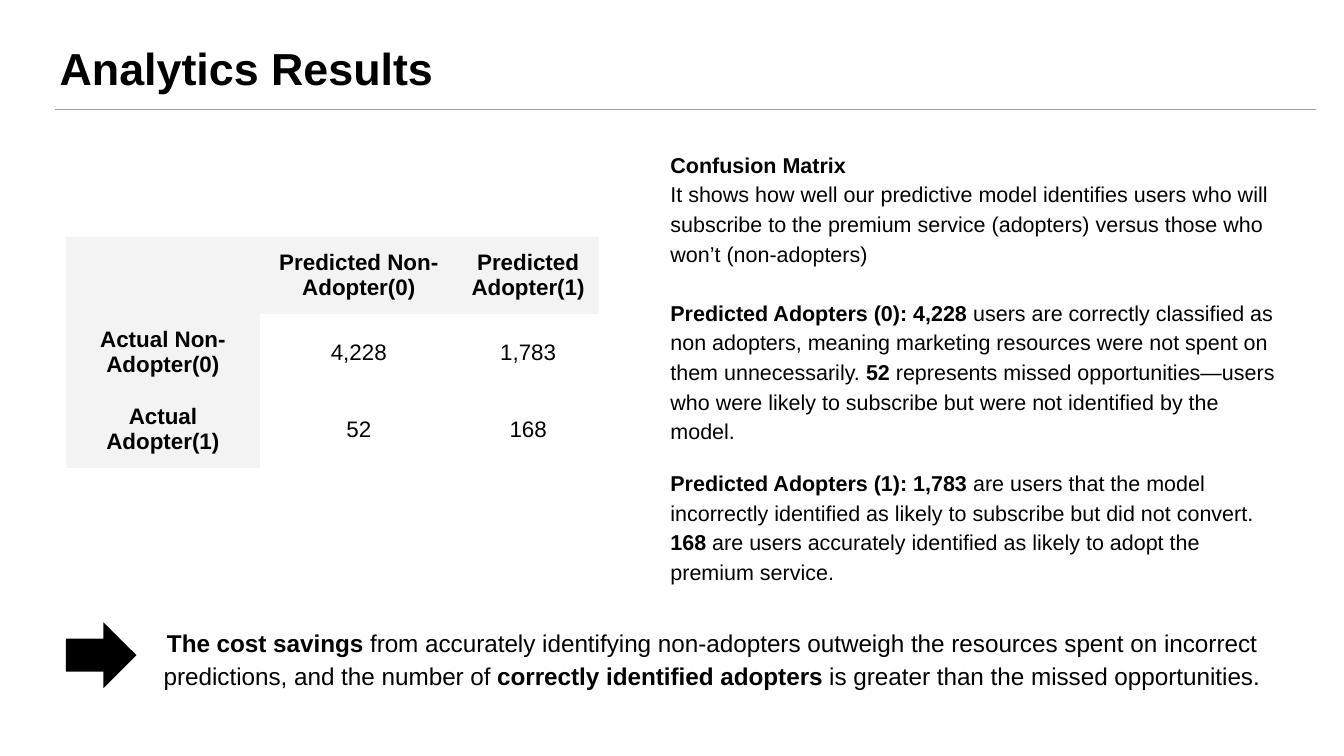
from lxml.etree import SubElement
from pptx import Presentation
from pptx.dml.color import RGBColor as RGB
from pptx.enum.shapes import MSO_CONNECTOR as Connector, MSO_SHAPE as Shape
from pptx.enum.text import MSO_ANCHOR as Anchor, PP_ALIGN as Align
from pptx.oxml.ns import qn
from pptx.util import Inches, Pt


class Theme:
    font = "Arial"
    ink = RGB(0x00, 0x00, 0x00)
    rule = RGB(0x9E, 0x9E, 0x9E)
    header = RGB(0xF3, 0xF3, 0xF3)
    title, takeaway, table, body = Pt(24), Pt(13), Pt(12), Pt(11.5)
    inset = Inches(0.1)
    no_table_style = "{2D5ABB26-0587-4C30-8999-92F81FD0307C}"


deck = Presentation()
deck.slide_width = Inches(10)
deck.slide_height = deck.slide_width * 9 // 16
page = deck.slides.add_slide(deck.slide_layouts[6])
COLUMN, ROW = deck.slide_width / 100, deck.slide_height / 56.25


def grid(left, top, width, height):
    """Turn grid columns and rows into slide lengths."""
    return int(left * COLUMN), int(top * ROW), int(width * COLUMN), int(height * ROW)


def write(para, text, size, align=Align.LEFT, spacing=None, before=None, after=None):
    """Fill a paragraph; parts between ** marks are bold."""
    para.alignment, para.line_spacing = align, spacing
    para.space_before, para.space_after = before, after
    for index, part in enumerate(text.split("**")):
        if part:
            span = para.add_run()
            span.text = part
            span.font.name, span.font.size = Theme.font, size
            span.font.bold = index % 2 == 1
            span.font.color.rgb = Theme.ink


# Confusion matrix
matrix = [
    ["", "**Predicted Non-Adopter(0)**", "**Predicted Adopter(1)**"],
    ["**Actual Non-Adopter(0)**", "4,228", "1,783"],
    ["**Actual Adopter(1)**", "52", "168"],
]
column_spans, row_spans = [14.45, 14.7, 10.5], [5.5, 5.2, 5.2]
table = page.shapes.add_table(
    3, 3, *grid(4.9, 17.6, sum(column_spans), sum(row_spans))).table
table.first_row = table.horz_banding = False
table._tbl.tblPr.find(qn("a:tableStyleId")).text = Theme.no_table_style
for column, span_width in zip(table.columns, column_spans):
    column.width = int(span_width * COLUMN)
for r, labels in enumerate(matrix):
    table.rows[r].height = int(row_spans[r] * ROW)
    for c, label in enumerate(labels):
        cell = table.cell(r, c)
        cell.vertical_anchor = Anchor.MIDDLE
        cell.margin_left = cell.margin_right = Theme.inset
        cell.margin_top = cell.margin_bottom = Theme.inset
        if r == 0 or c == 0:
            cell.fill.solid()
            cell.fill.fore_color.rgb = Theme.header
        else:
            cell.fill.background()
        write(cell.text_frame.paragraphs[0], label, Theme.table, Align.CENTER)

# Text boxes: place, then (text, format) for each paragraph
body = dict(size=Theme.body, spacing=1.15)
boxes = [
    (grid(3.45, 2, 93.2, 6.3), [("**Analytics Results**", dict(size=Theme.title))]),
    (grid(48.9, 10, 48, 34.6), [
        ("**Confusion Matrix**", body),
        ("It shows how well our predictive model identifies users who will subscribe "
         "to the premium service (adopters) versus those who won’t (non-adopters)", body),
        ("**Predicted Adopters (0): 4,228 **users are correctly classified as non "
         "adopters, meaning marketing resources were not spent on them unnecessarily. "
         "**52** represents missed opportunities—users who were likely to subscribe "
         "but were not identified by the model.", dict(body, before=Pt(15.8))),
        ("**Predicted Adopters (1): 1,783 **are users that the model incorrectly "
         "identified as likely to subscribe but did not convert. **168** are users "
         "accurately identified as likely to adopt the premium service.",
         dict(body, before=Pt(12), after=Pt(12))),
    ]),
    (grid(10.8, 45.4, 84.3, 6.7), [
        ("**The cost savings **from accurately identifying non-adopters outweigh the "
         "resources spent on incorrect predictions, and the number of **correctly "
         "identified adopters **is greater than the missed opportunities.",
         dict(size=Theme.takeaway, align=Align.CENTER, spacing=1.15)),
    ]),
]
for place, paragraphs in boxes:
    frame = page.shapes.add_textbox(*place).text_frame
    frame.word_wrap, frame.vertical_anchor = True, Anchor.TOP
    frame.margin_left = frame.margin_right = Theme.inset
    frame.margin_top = frame.margin_bottom = Theme.inset
    for index, (text, style) in enumerate(paragraphs):
        para = frame.add_paragraph() if index else frame.paragraphs[0]
        write(para, text, **style)

# Takeaway arrow
arrow = page.shapes.add_shape(Shape.RIGHT_ARROW, *grid(4.9, 46.3, 5.25, 4.9))
arrow.shadow.inherit = False
arrow.fill.solid()
arrow.fill.fore_color.rgb = Theme.ink
arrow.line.fill.background()

# Rule below the title
left, top, width, _ = grid(4.1, 8.15, 93.8, 0)
rule = page.shapes.add_connector(Connector.STRAIGHT, left, top, left + width, top)
rule.line.color.rgb, rule.line.width = Theme.rule, Pt(0.75)
SubElement(rule._element.spPr, qn("a:effectLst"))

deck.save("out.pptx")
